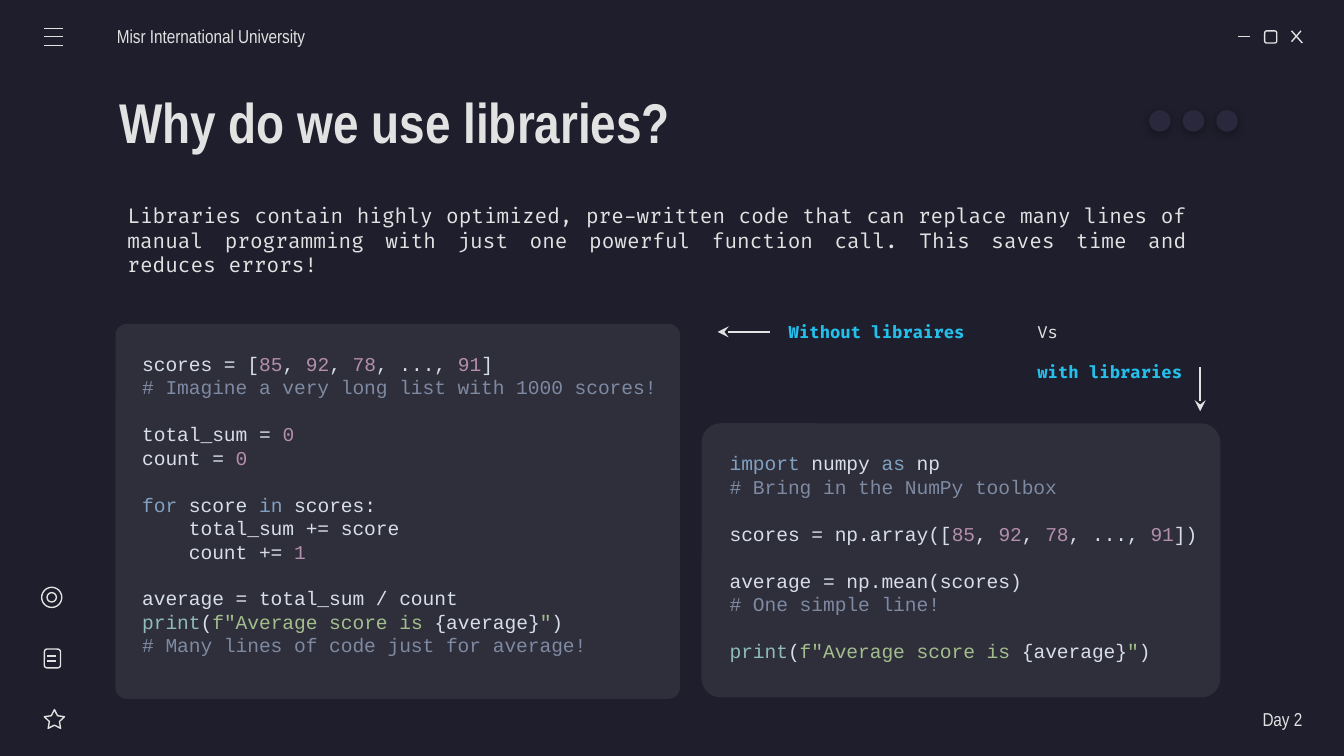
import pptx
import pptx.util
import pptx.dml.color
import pptx.enum.shapes
import pptx.enum.text
import pptx.oxml
import pptx.oxml.ns

Inches = pptx.util.Inches
Pt = pptx.util.Pt
Shape = pptx.enum.shapes.MSO_SHAPE
Align = pptx.enum.text.PP_ALIGN
Anchor = pptx.enum.text.MSO_ANCHOR

SPACE = pptx.oxml.ns.nsdecls("a")
BACK, PANEL, DOT = "1E1E2C", "2F2F3C", "29283D"
LIGHT, CYAN = "E2E2E2", "24BFEB"
PLAIN, NUMBER, NOTE = "D8DEE9", "B48EAD", "7E8AA2"
WORD, CALL, QUOTE = "81A1C1", "8FBCBB", "A3BE8C"
NARROW, MONO, FIRA = "Arial Narrow", "Courier New", "Fira Code"
PITCH = 12.55

SCORES = [("85", NUMBER), (", ", PLAIN), ("92", NUMBER), (", ", PLAIN),
          ("78", NUMBER), (", ..., ", PLAIN), ("91", NUMBER)]
SHOW = [("print", CALL), ("(", PLAIN), ('f"Average score is ', QUOTE),
        ("{average}", PLAIN), ('"', QUOTE), (")", PLAIN)]
MANUAL = [
    [("scores = [", PLAIN), *SCORES, ("]", PLAIN)],
    [("# Imagine a very long list with 1000 scores!", NOTE)],
    [],
    [("total_sum = ", PLAIN), ("0", NUMBER)],
    [("count = ", PLAIN), ("0", NUMBER)],
    [],
    [("for", WORD), (" score ", PLAIN), ("in", WORD), (" scores:", PLAIN)],
    [("    total_sum += score", PLAIN)],
    [("    count += ", PLAIN), ("1", NUMBER)],
    [],
    [("average = total_sum / count", PLAIN)],
    SHOW,
    [("# Many lines of code just for average!", NOTE)],
]
NUMPY = [
    [("import ", WORD), ("numpy ", PLAIN), ("as", WORD), (" np", PLAIN)],
    [("# Bring in the NumPy toolbox", NOTE)],
    [],
    [("scores = np.array([", PLAIN), *SCORES, ("])", PLAIN)],
    [],
    [("average = np.mean(scores)", PLAIN)],
    [("# One simple line!", NOTE)],
    [],
    SHOW,
]


def color(code):
    return pptx.dml.color.RGBColor.from_string(code)


def add_xml(parent, text):
    parent.append(pptx.oxml.parse_xml(text))


def add_shape(slide, kind, box, fill=None, line=None, round_by=None):
    shape = slide.shapes.add_shape(kind, *map(Inches, box))
    shape.shadow.inherit = False
    if round_by is not None:
        shape.adjustments[0] = round_by
    if fill:
        shape.fill.solid()
        shape.fill.fore_color.rgb = color(fill)
    else:
        shape.fill.background()
    if line:
        shape.line.color.rgb = color(line)
        shape.line.width = Pt(0.75)
    else:
        shape.line.fill.background()
    return shape


def add_line(slide, x1, y1, x2, y2, arrow=False):
    kind = pptx.enum.shapes.MSO_CONNECTOR.STRAIGHT
    line = slide.shapes.add_connector(kind, *map(Inches, (x1, y1, x2, y2)))
    line.line.color.rgb = color(LIGHT)
    line.line.width = Pt(0.75)
    if arrow:
        add_xml(line.line._get_or_add_ln(), f'<a:tailEnd {SPACE} type="stealth"/>')
    add_xml(line._element.spPr, f"<a:effectLst {SPACE}/>")


def add_dot(slide, left):
    dot = add_shape(slide, Shape.OVAL, (left, 0.82, 0.16, 0.16), DOT)
    glow = dot._element.spPr.find(pptx.oxml.ns.qn("a:effectLst"))
    add_xml(glow, f'<a:outerShdw {SPACE} blurRad="{Pt(4.5)}" dist="{Pt(1.5)}" dir="5400000">'
                  '<a:srgbClr val="000000"><a:alpha val="30000"/></a:srgbClr></a:outerShdw>')


def add_frame(slide, box, pad, anchor=Anchor.MIDDLE):
    frame = slide.shapes.add_textbox(*map(Inches, box)).text_frame
    frame.word_wrap = True
    frame.vertical_anchor = anchor
    (frame.margin_left, frame.margin_top,
     frame.margin_right, frame.margin_bottom) = map(Inches, pad)
    return frame


def add_run(line, text, font, size, code, bold=False):
    run = line.add_run()
    run.text = text
    style(run, font, size, code, bold)


def style(run, font, size, code, bold=False):
    run.font.name = font
    run.font.size = Pt(size)
    run.font.bold = bold
    run.font.color.rgb = color(code)


def add_label(slide, box, text, font, size, pad=(0.1,) * 4, align=Align.LEFT,
              bold=False, anchor=Anchor.MIDDLE):
    frame = add_frame(slide, box, pad, anchor)
    frame.text = text
    line = frame.paragraphs[0]
    line.alignment = align
    style(line.runs[0], font, size, LIGHT, bold)
    return line


def add_code(slide, card, round_by, box, rows):
    add_shape(slide, Shape.ROUNDED_RECTANGLE, card, PANEL, round_by=round_by)
    frame = add_frame(slide, box, (0.1, 0.05, 0.1, 0.05), Anchor.TOP)
    line, gap = frame.paragraphs[0], False
    for index, row in enumerate(rows):
        if not row:
            gap = True
            continue
        if index:
            line = frame.add_paragraph()
        line.line_spacing = Pt(PITCH)
        if gap:
            line.space_before = Pt(PITCH)
        gap = False
        for text, code in row:
            add_run(line, text, MONO, 10.5, code)


def add_versus(slide):
    stop = Inches(1.85)
    frame = add_frame(slide, (5.77, 2.39, 3.51, 0.46), (0.1,) * 4)
    first, second = frame.paragraphs[0], frame.add_paragraph()
    add_xml(first._p.get_or_add_pPr(),
            f'<a:tabLst {SPACE}><a:tab pos="{stop}" algn="l"/></a:tabLst>')
    second._p.get_or_add_pPr().set("marL", str(stop))
    second.space_before = Pt(10.7)
    add_run(first, "Without libraires", FIRA, 9, CYAN, True)
    add_run(first, "\tVs", FIRA, 9, LIGHT)
    add_run(second, "with libraries", FIRA, 9, CYAN, True)


def add_icons(slide):
    add_line(slide, 9.21, 0.27, 9.3, 0.27)
    add_shape(slide, Shape.ROUNDED_RECTANGLE, (9.41, 0.23, 0.09, 0.09), line=LIGHT)
    add_line(slide, 9.61, 0.23, 9.69, 0.32)
    add_line(slide, 9.68, 0.23, 9.61, 0.31)
    for top in (0.21, 0.27, 0.34):
        add_line(slide, 0.33, top, 0.47, top)
    add_shape(slide, Shape.STAR_5_POINT, (0.33, 5.28, 0.15, 0.14), line=LIGHT, round_by=0.25)
    add_shape(slide, Shape.ROUNDED_RECTANGLE, (0.33, 4.83, 0.12, 0.14), line=LIGHT)
    for top in (4.88, 4.92):
        add_line(slide, 0.35, top, 0.42, top)
    add_shape(slide, Shape.OVAL, (0.31, 4.37, 0.15, 0.15), line=LIGHT)
    add_shape(slide, Shape.OVAL, (0.35, 4.41, 0.07, 0.07), line=LIGHT)
    for index in range(3):
        add_dot(slide, 8.55 + 0.25 * index)


def main():
    deck = pptx.Presentation()
    deck.slide_width, deck.slide_height = Inches(10), Inches(10) * 9 // 16
    slide = deck.slides.add_slide(deck.slide_layouts[6])
    slide.background.fill.solid()
    slide.background.fill.fore_color.rgb = color(BACK)
    add_shape(slide, Shape.RECTANGLE, (0.42, 1.25, 9.02, 3.98), BACK)
    add_icons(slide)
    add_label(slide, (0.87, 0.12, 1.84, 0.3), "Misr International University",
              NARROW, 10, (0, 0.1, 0.1, 0.1))
    add_label(slide, (8.52, 5.2, 1.17, 0.3), "Day 2", NARROW, 10,
              (0.1, 0.1, 0, 0.1), Align.RIGHT)
    add_code(slide, (0.86, 2.41, 4.2, 2.79), 0.03, (0.96, 2.57, 4.34, 2.4), MANUAL)
    add_code(slide, (5.22, 3.15, 3.86, 2.04), 0.07, (5.33, 3.31, 3.81, 1.84), NUMPY)
    add_line(slide, 5.73, 2.47, 5.34, 2.47, arrow=True)
    add_line(slide, 8.93, 2.73, 8.93, 3.06, arrow=True)
    add_versus(slide)
    body = add_label(slide, (0.68, 1.41, 8.26, 1.18),
                     "Libraries contain highly optimized, pre-written code that can replace "
                     "many lines of manual programming with just one powerful function call. "
                     "This saves time and reduces errors!",
                     FIRA, 11, align=Align.JUSTIFY, anchor=Anchor.TOP)
    body._p.get_or_add_pPr().set("marL", str(Inches(0.17)))
    add_label(slide, (0.79, 0.59, 7.88, 0.63), "Why do we use libraries?",
              NARROW, 30, bold=True)
    deck.save("out.pptx")


if __name__ == "__main__":
    main()
